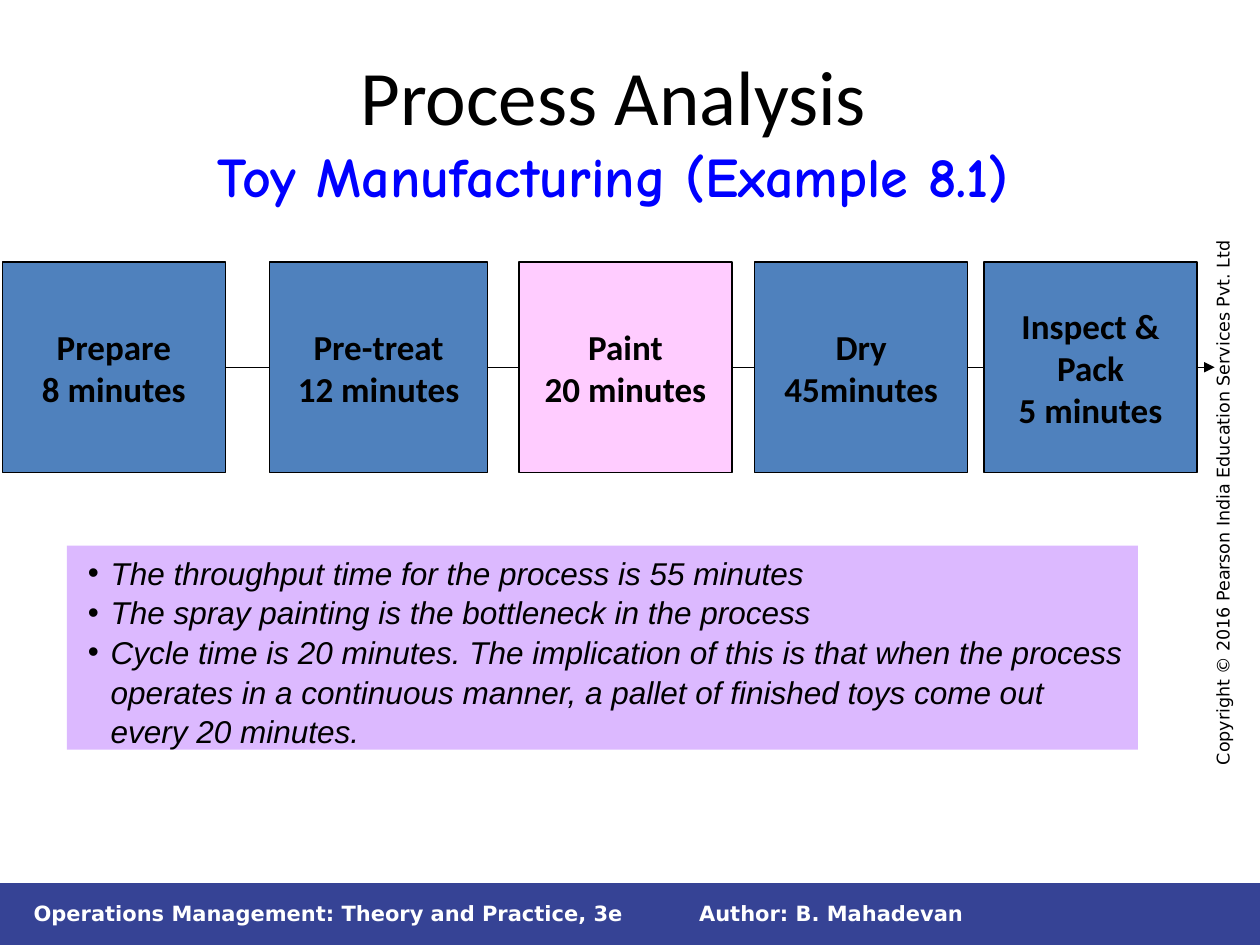
from dataclasses import dataclass

from lxml import etree
from pptx import Presentation
from pptx.dml.color import RGBColor
from pptx.enum.shapes import MSO_CONNECTOR, MSO_SHAPE
from pptx.enum.text import MSO_ANCHOR, MSO_AUTO_SIZE, PP_ALIGN
from pptx.oxml.ns import qn
from pptx.util import Pt

RECTANGLE = MSO_SHAPE.RECTANGLE
STRAIGHT = MSO_CONNECTOR.STRAIGHT
TOP, MIDDLE = MSO_ANCHOR.TOP, MSO_ANCHOR.MIDDLE
LEFT, CENTER = PP_ALIGN.LEFT, PP_ALIGN.CENTER
NO_AUTO_SIZE = MSO_AUTO_SIZE.NONE


@dataclass(frozen=True)
class Theme:
    black: RGBColor = RGBColor(0x00, 0x00, 0x00)
    white: RGBColor = RGBColor(0xFF, 0xFF, 0xFF)
    subtitle: RGBColor = RGBColor(0x00, 0x00, 0xFF)
    footer: RGBColor = RGBColor(0x36, 0x43, 0x95)
    step: RGBColor = RGBColor(0x4F, 0x81, 0xBD)
    bottleneck: RGBColor = RGBColor(0xFF, 0xCC, 0xFF)
    findings: RGBColor = RGBColor(0xDC, 0xB9, 0xFF)
    title_size: Pt = Pt(44)
    subtitle_size: Pt = Pt(32)
    step_size: Pt = Pt(20)
    findings_size: Pt = Pt(18)
    footer_size: Pt = Pt(12)
    copyright_size: Pt = Pt(10)
    line_width: Pt = Pt(0.75)
    heading_font: str = "Calibri"
    subtitle_font: str = "Comic Neue"
    body_font: str = "Arial"
    footer_font: str = "DejaVu Sans"


theme = Theme()


def set_font(font, name, size, color, bold=False, italic=False):
    font.name, font.size, font.bold, font.italic = name, size, bold, italic
    font.color.rgb = color


def add_rectangle(left, top, width, height, fill, outlined=False):
    shape = slide.shapes.add_shape(RECTANGLE, Pt(left), Pt(top), Pt(width), Pt(height))
    shape.shadow.inherit = False
    shape.fill.solid()
    shape.fill.fore_color.rgb = fill
    if outlined:
        shape.line.color.rgb = theme.black
        shape.line.width = theme.line_width
    else:
        shape.line.fill.background()
    return shape


presentation = Presentation()
presentation.slide_width, presentation.slide_height = Pt(720), Pt(540)
slide = presentation.slides.add_slide(presentation.slide_layouts[5])

# Title
title = slide.shapes.title
title.left, title.top, title.width, title.height = Pt(26.64), Pt(21.6), Pt(648), Pt(90)
frame = title.text_frame
frame.auto_size = NO_AUTO_SIZE
frame.vertical_anchor = TOP
frame.margin_top = Pt(6.3)
paragraph = frame.paragraphs[0]
paragraph.alignment = CENTER
heading = paragraph.add_run()
heading.text = "Process Analysis"
set_font(heading.font, theme.heading_font, theme.title_size, theme.black)
paragraph.add_line_break()
subtitle = paragraph.add_run()
subtitle.text = "Toy Manufacturing (Example 8.1)"
set_font(subtitle.font, theme.subtitle_font, theme.subtitle_size, theme.subtitle, bold=True)

# Footer bar and labels
add_rectangle(0, 504.7, 720, 35.3, theme.footer)
labels = [
    # text, left, top, width, height, rotation, anchor, size, color, bold
    ("Author: B. Mahadevan", 392.4, 511.2, 327.6, 21.6, 0, MIDDLE,
     theme.footer_size, theme.white, True),
    ("Operations Management: Theory and Practice, 3e", 12.2, 511.2, 360, 21.6, 0, MIDDLE,
     theme.footer_size, theme.white, True),
    ("Copyright © 2016 Pearson India Education Services Pvt. Ltd", 536.4, 272.2, 324.7, 19.4,
     270, TOP, theme.copyright_size, theme.black, False),
]
for text, left, top, width, height, rotation, anchor, size, color, bold in labels:
    label = slide.shapes.add_textbox(Pt(left), Pt(top), Pt(width), Pt(height))
    label.rotation = rotation
    frame = label.text_frame
    frame.word_wrap = True
    frame.vertical_anchor = anchor
    frame.text = text
    set_font(frame.paragraphs[0].font, theme.footer_font, size, color, bold=bold)

# Flow arrow running behind the process steps
STEP_TOP, STEP_HEIGHT = 149.8, 120.2
flow_y = Pt(STEP_TOP + STEP_HEIGHT / 2)
flow = slide.shapes.add_connector(STRAIGHT, Pt(112.3), flow_y, Pt(694.1), flow_y)
flow.line.color.rgb = theme.black
flow.line.width = theme.line_width
etree.SubElement(flow.line._get_or_add_ln(), qn("a:tailEnd"), type="triangle")
etree.SubElement(flow._element.spPr, qn("a:effectLst"))

# Process steps
steps = [
    ("Prepare\n8 minutes", 1.4, 127.4, theme.step),
    ("Pre-treat\n12 minutes", 154.1, 124.6, theme.step),
    ("Paint\n20 minutes", 296.6, 121.7, theme.bottleneck),
    ("Dry\n45minutes", 431.3, 121.7, theme.step),
    ("Inspect &\nPack\n5 minutes", 562.3, 121.7, theme.step),
]
for text, left, width, fill in steps:
    step = add_rectangle(left, STEP_TOP, width, STEP_HEIGHT, fill, outlined=True)
    frame = step.text_frame
    frame.word_wrap = False
    frame.vertical_anchor = MIDDLE
    frame.text = text
    for paragraph in frame.paragraphs:
        paragraph.alignment = CENTER
        set_font(paragraph.font, theme.heading_font, theme.step_size, theme.black, bold=True)

# Findings
findings = add_rectangle(38.2, 311.8, 612, 116.6, theme.findings)
frame = findings.text_frame
frame.word_wrap = True
frame.vertical_anchor = TOP
frame.text = "\n".join([
    "The throughput time for the process is 55 minutes",
    "The spray painting is the bottleneck in the process",
    "Cycle time is 20 minutes. The implication of this is that when the process operates "
    "in a continuous manner, a pallet of finished toys come out every 20 minutes.",
])
for paragraph in frame.paragraphs:
    paragraph.alignment = LEFT
    paragraph.line_spacing = 1.05
    properties = paragraph._p.get_or_add_pPr()
    properties.set("marL", str(Pt(18)))
    properties.set("indent", str(Pt(-13)))
    etree.SubElement(properties, qn("a:buFont"), typeface=theme.body_font)
    etree.SubElement(properties, qn("a:buChar"), char="•")
    set_font(paragraph.font, theme.body_font, theme.findings_size, theme.black, italic=True)

presentation.save("out.pptx")
